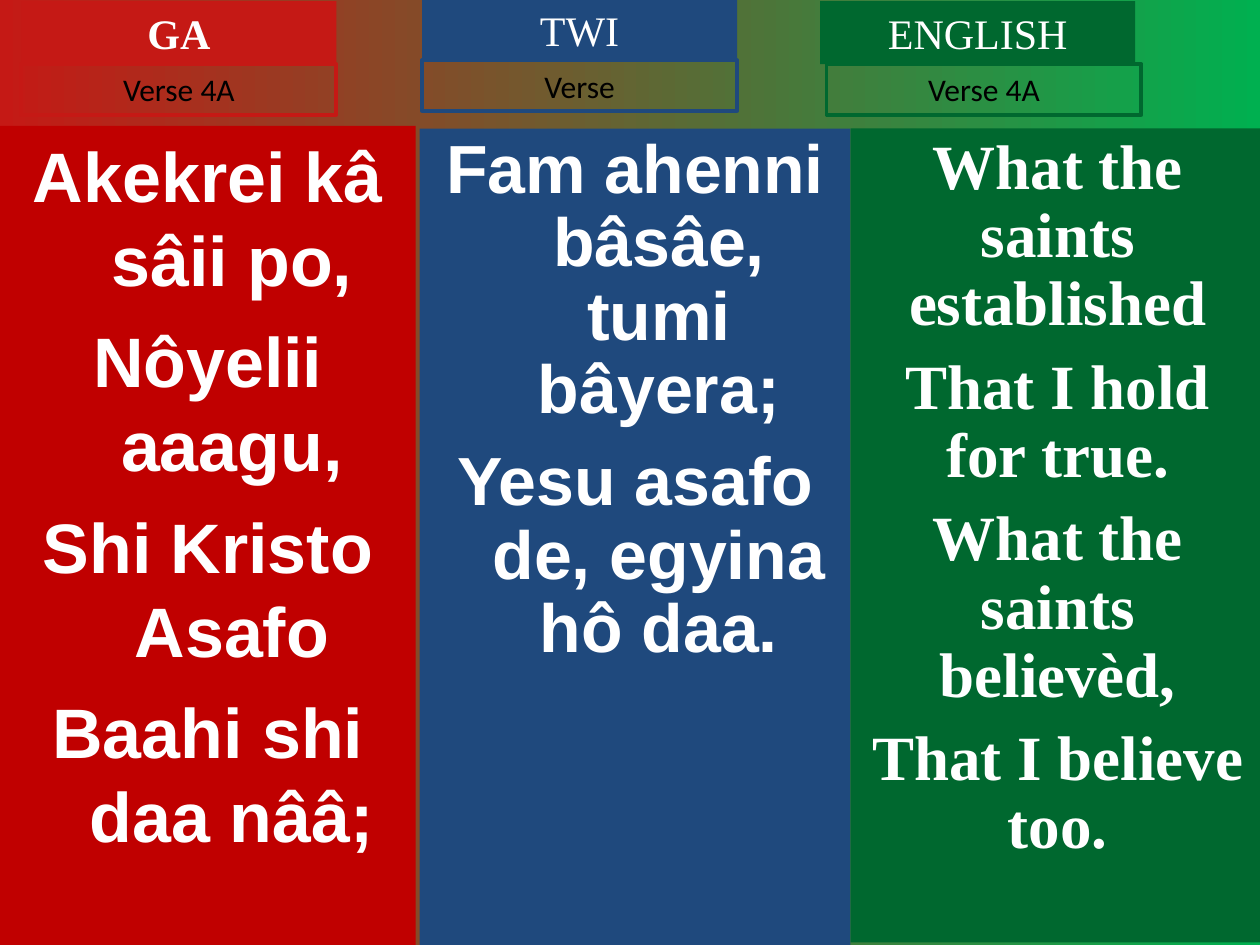
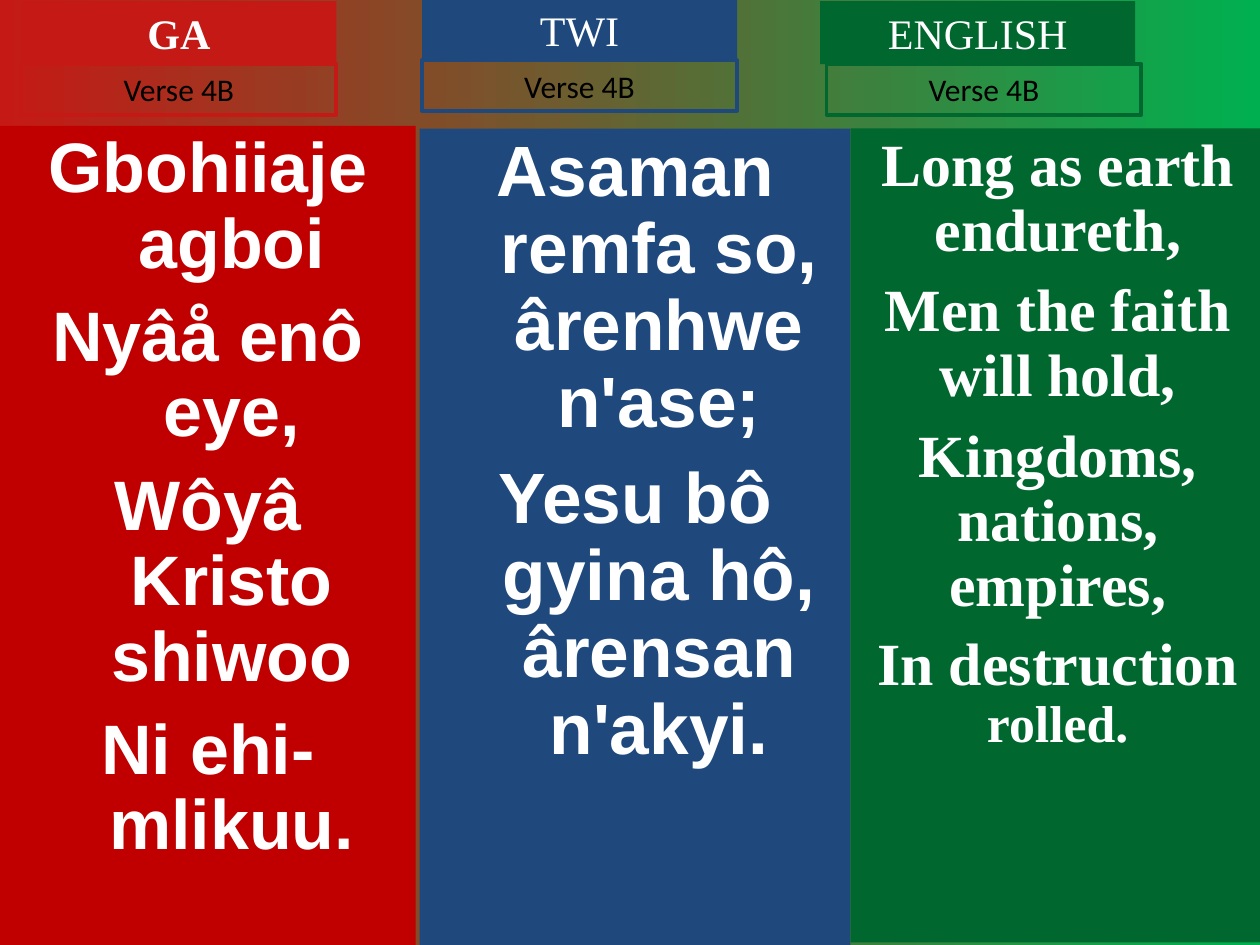
from dataclasses import dataclass

from pptx import Presentation
from pptx.dml.color import RGBColor
from pptx.enum.shapes import MSO_SHAPE
from pptx.enum.text import MSO_ANCHOR, MSO_AUTO_SIZE, PP_ALIGN
from pptx.util import Inches, Pt

RECTANGLE = MSO_SHAPE.RECTANGLE
TOP = MSO_ANCHOR.TOP
CENTER = PP_ALIGN.CENTER
GROW = MSO_AUTO_SIZE.SHAPE_TO_FIT_TEXT
FIXED = MSO_AUTO_SIZE.NONE

SLIDE_WIDTH, SLIDE_HEIGHT = Inches(10), Inches(7.5)
COLUMNS, ROWS = 100, 75
HEADING_SIZE = (25, 5)
LABEL_SIZE = (25, 4)


@dataclass(frozen=True)
class Theme:
    red: str = "C51915"
    deep_red: str = "C00000"
    blue: str = "1F497D"
    green: str = "00682F"
    bright_green: str = "00B050"
    white: str = "FFFFFF"
    black: str = "000000"
    sans: str = "Arial"
    serif: str = "Times New Roman"
    label_font: str = "Calibri"
    heading_size: float = 24
    label_size: float = 18
    border: float = 2.25
    hanging: float = 0.38


THEME = Theme()


@dataclass(frozen=True)
class Language:
    name: str
    panel: tuple
    heading: tuple
    label: tuple
    accent: str
    fill: str
    font: str
    heading_bold: bool = False
    hanging: float = 0


@dataclass(frozen=True)
class Verse:
    label: str
    lines: tuple
    size: float
    space: float
    spacing: float = 0.9
    last_space: float = 0
    ending: str = ""
    ending_size: float = 0


LANGUAGES = (
    Language("GA", (0, 10, 33, 65), (1.7, 0.1), (1.7, 5.1), THEME.red,
             THEME.deep_red, THEME.sans, True, THEME.hanging),
    Language("TWI", (33.3, 10.2, 34.2, 64.8), (0.2, -0.1), (0.2, 4.8), THEME.blue,
             THEME.blue, THEME.sans, False, THEME.hanging),
    Language("ENGLISH", (67.5, 10.2, 32.9, 64.6), (-2.4, 0.1), (-1.9, 5.1),
             THEME.green, THEME.green, THEME.serif),
)

SLIDES = (
    (
        Verse("Verse 4A", ("Akekrei kâ sâii po,", "Nôyelii aaagu,",
                           "Shi Kristo Asafo", "Baahi shi daa nââ;"), 40, 10, 1),
        Verse("Verse", ("Fam ahenni bâsâe, tumi bâyera;",
                        "Yesu asafo de, egyina hô daa."), 38.9, 10.5),
        Verse("Verse 4A", ("What the saints established", "That I hold for true.",
                           "What the saints believèd,", "That I believe too."), 36, 9),
    ),
    (
        Verse("Verse 4B", ("Gbohiiaje agboi", "Nyâå enô eye,",
                           "Wôyâ Kristo shiwoo", "Ni ehi- mlikuu."), 40, 10),
        Verse("Verse 4B", ("Asaman remfa so, ârenhwe n'ase;",
                           "Yesu bô gyina hô, ârensan n'akyi."), 40.7, 11),
        Verse("Verse 4B", ("Long as earth endureth,", "Men the faith will hold,",
                           "Kingdoms, nations, empires,", "In destruction "),
              34.2, 9.2, last_space=8, ending="rolled.", ending_size=29.6),
    ),
)


def apply(target, **values):
    for name, value in values.items():
        setattr(target, name, value)


def color(value):
    return RGBColor.from_string(value)


def add_box(slide, box, fill=None, border=None, auto_size=FIXED):
    left, top, width, height = box
    shape = slide.shapes.add_shape(
        RECTANGLE,
        round(SLIDE_WIDTH * left / COLUMNS), round(SLIDE_HEIGHT * top / ROWS),
        round(SLIDE_WIDTH * width / COLUMNS), round(SLIDE_HEIGHT * height / ROWS))
    shape.shadow.inherit = False
    if fill:
        shape.fill.solid()
        shape.fill.fore_color.rgb = color(fill)
    else:
        shape.fill.background()
    if border:
        shape.line.color.rgb = color(border)
        shape.line.width = Pt(THEME.border)
    else:
        shape.line.fill.background()
    apply(shape.text_frame, word_wrap=True, auto_size=auto_size, vertical_anchor=TOP)
    return shape.text_frame


def add_run(paragraph, text, size, font, text_color, bold=False):
    run = paragraph.add_run()
    run.text = text
    apply(run.font, size=Pt(size), name=font, bold=bold)
    run.font.color.rgb = color(text_color)


def add_tag(slide, box, text, size, font, text_color, bold=False, **look):
    paragraph = add_box(slide, box, auto_size=GROW, **look).paragraphs[0]
    paragraph.alignment = CENTER
    add_run(paragraph, text, size, font, text_color, bold)


def add_panel(slide, language, verse):
    frame = add_box(slide, language.panel, fill=language.fill)
    last = len(verse.lines) - 1
    for index, line in enumerate(verse.lines):
        paragraph = frame.add_paragraph() if index else frame.paragraphs[0]
        space = verse.last_space if index == last and verse.last_space else verse.space
        apply(paragraph, alignment=CENTER, line_spacing=verse.spacing,
              space_before=Pt(space if index else 0))
        if language.hanging:
            properties = paragraph._p.get_or_add_pPr()
            properties.set("marL", str(Inches(language.hanging)))
            properties.set("indent", str(-Inches(language.hanging)))
        add_run(paragraph, line, verse.size, language.font, THEME.white, True)
    if verse.ending:
        add_run(paragraph, verse.ending, verse.ending_size, language.font,
                THEME.white, True)


def add_language_column(slide, language, verse):
    column_left = language.panel[0]
    heading_left, heading_top = language.heading
    label_left, label_top = language.label
    add_panel(slide, language, verse)
    add_tag(slide, (column_left + heading_left, heading_top, *HEADING_SIZE),
            language.name, THEME.heading_size, THEME.serif, THEME.white,
            language.heading_bold, fill=language.accent)
    add_tag(slide, (column_left + label_left, label_top, *LABEL_SIZE),
            verse.label, THEME.label_size, THEME.label_font, THEME.black,
            border=language.accent)


def paint_background(slide):
    fill = slide.background.fill
    fill.gradient()
    fill.gradient_angle = 0
    for stop, value in zip(fill.gradient_stops, (THEME.red, THEME.bright_green)):
        stop.color.rgb = color(value)


def add_verse_slide(presentation, verses):
    slide = presentation.slides.add_slide(presentation.slide_layouts[6])
    paint_background(slide)
    for language, verse in zip(LANGUAGES, verses):
        add_language_column(slide, language, verse)


def main():
    presentation = Presentation()
    apply(presentation, slide_width=SLIDE_WIDTH, slide_height=SLIDE_HEIGHT)
    for verses in SLIDES:
        add_verse_slide(presentation, verses)
    presentation.save("out.pptx")


if __name__ == "__main__":
    main()
